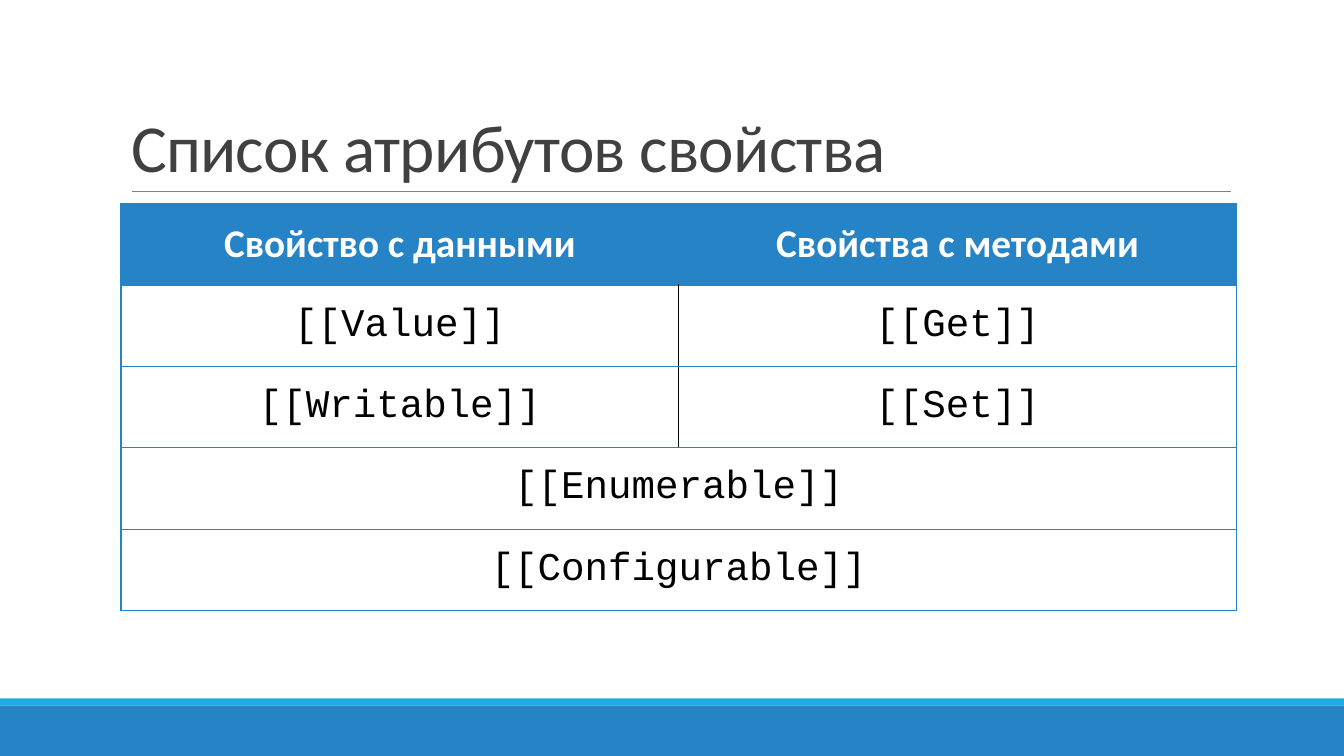
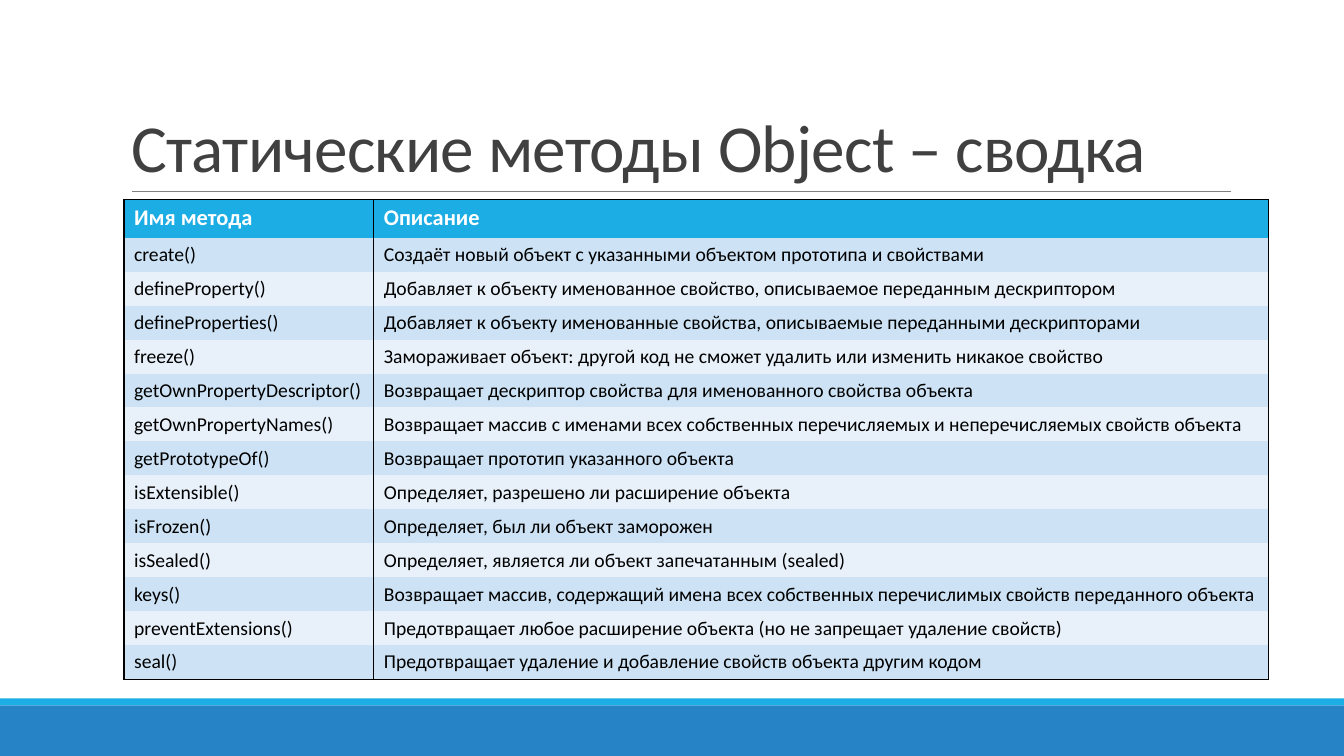
from dataclasses import dataclass

from lxml.etree import SubElement
from pptx import Presentation
from pptx.dml.color import RGBColor
from pptx.enum.shapes import MSO_CONNECTOR, MSO_SHAPE
from pptx.enum.text import MSO_ANCHOR, MSO_AUTO_SIZE, PP_ALIGN
from pptx.oxml.ns import qn
from pptx.util import Inches, Pt

SLIDE_WIDTH = Inches(40) // 3
SLIDE_HEIGHT = Inches(7.5)
TITLE_ONLY = 5


@dataclass(frozen=True)
class Theme:
    body_font: str = "Calibri"
    code_font: str = "Courier New"
    blue: str = "2683C6"
    cyan: str = "1CADE4"
    rule: str = "808080"
    heading: str = "404040"
    black: str = "000000"
    white: str = "FFFFFF"
    band_dark: str = "CDE3F5"
    band_light: str = "E8F1FA"
    title_size: int = 48
    attribute_size: int = 28
    header_size: int = 16
    method_size: int = 14
    border_width: int = 1
    rule_width: float = 0.5


@dataclass(frozen=True)
class Area:
    left: float
    top: float
    width: float
    height: float

    def emu(self):
        return (
            int(SLIDE_WIDTH * self.left / 100),
            int(SLIDE_HEIGHT * self.top / 100),
            int(SLIDE_WIDTH * self.width / 100),
            int(SLIDE_HEIGHT * self.height / 100),
        )


THEME = Theme()
TITLE_AREA = Area(9, 4.13, 82.5, 21.2)
RULE_AREA = Area(9.83, 25.33, 81.75, 0)
FOOTER_AREA = Area(0, 92.4, 100, 7.6)
ATTRIBUTES_AREA = Area(9, 26.93, 83, 53.87)
METHODS_AREA = Area(9.23, 26.4, 85.15, 63.47)

ATTRIBUTES = [
    ("Свойство с данными", "Свойства с методами"),
    ("[[Value]]", "[[Get]]"),
    ("[[Writable]]", "[[Set]]"),
    ("[[Enumerable]]",),
    ("[[Configurable]]",),
]

METHODS = [
    ("Имя метода", "Описание"),
    ("create()", "Создаёт новый объект с указанными объектом прототипа и свойствами"),
    ("defineProperty()", "Добавляет к объекту именованное свойство, описываемое переданным дескриптором"),
    ("defineProperties()", "Добавляет к объекту именованные свойства, описываемые переданными дескрипторами"),
    ("freeze()", "Замораживает объект: другой код не сможет удалить или изменить никакое свойство"),
    ("getOwnPropertyDescriptor()", "Возвращает дескриптор свойства для именованного свойства объекта"),
    ("getOwnPropertyNames()", "Возвращает массив с именами всех собственных перечисляемых и неперечисляемых свойств объекта"),
    ("getPrototypeOf()", "Возвращает прототип указанного объекта"),
    ("isExtensible()", "Определяет, разрешено ли расширение объекта"),
    ("isFrozen()", "Определяет, был ли объект заморожен"),
    ("isSealed()", "Определяет, является ли объект запечатанным (sealed)"),
    ("keys()", "Возвращает массив, содержащий имена всех собственных перечислимых свойств переданного объекта"),
    ("preventExtensions()", "Предотвращает любое расширение объекта (но не запрещает удаление свойств)"),
    ("seal()", "Предотвращает удаление и добавление свойств объекта другим кодом"),
]


def apply_format(target, values):
    for name, value in values.items():
        setattr(target, name, value)


def paint(fill, color):
    fill.solid()
    fill.fore_color.rgb = RGBColor.from_string(color)


def write_text(paragraph, text, color, **font):
    run = paragraph.add_run()
    run.text = text
    apply_format(run.font, font)
    run.font.color.rgb = RGBColor.from_string(color)
    return run


def set_borders(cell, colors):
    properties = cell._tc.get_or_add_tcPr()
    for side in "LRTB":
        edge = SubElement(properties, qn(f"a:ln{side}"), w=str(Pt(THEME.border_width)))
        if colors.get(side):
            solid = SubElement(edge, qn("a:solidFill"))
            SubElement(solid, qn("a:srgbClr"), val=colors[side])
        else:
            SubElement(edge, qn("a:noFill"))


def add_frame(slide, layout):
    left, top, width, height = FOOTER_AREA.emu()
    stripe_height = int(height * 0.12)
    bands = [
        (top + stripe_height, height - stripe_height, THEME.blue),
        (top, stripe_height, THEME.cyan),
    ]
    parts = []
    for band_top, band_height, color in bands:
        band = slide.shapes.add_shape(MSO_SHAPE.RECTANGLE, left, band_top, width, band_height)
        band.shadow.inherit = False
        paint(band.fill, color)
        band.line.fill.background()
        parts.append(band)

    left, top, width, _ = RULE_AREA.emu()
    rule = slide.shapes.add_connector(MSO_CONNECTOR.STRAIGHT, left, top, left + width, top)
    rule.line.width = Pt(THEME.rule_width)
    rule.line.color.rgb = RGBColor.from_string(THEME.rule)
    SubElement(rule._element.spPr, qn("a:effectLst"))
    parts.append(rule)

    for part in parts:
        layout.shapes._spTree.append(part._element)


def add_title(slide, text):
    title = slide.shapes.title
    apply_format(title, dict(zip(("left", "top", "width", "height"), TITLE_AREA.emu())))
    frame = title.text_frame
    apply_format(frame, {
        "word_wrap": True,
        "auto_size": MSO_AUTO_SIZE.NONE,
        "vertical_anchor": MSO_ANCHOR.BOTTOM,
    })
    paragraph = frame.paragraphs[0]
    apply_format(paragraph, {"alignment": PP_ALIGN.LEFT, "line_spacing": 0.85})
    run = write_text(paragraph, text, THEME.heading,
                     name=THEME.body_font, size=Pt(THEME.title_size))
    run.font._element.set("spc", "-50")


def add_grid(slide, area, column_weights, row_weights):
    left, top, width, height = area.emu()
    grid = slide.shapes.add_table(
        len(row_weights), len(column_weights), left, top, width, height).table
    apply_format(grid, {"first_row": False, "horz_banding": False})
    for column, weight in zip(grid.columns, column_weights):
        column.width = int(width * weight / sum(column_weights))
    for row, weight in zip(grid.rows, row_weights):
        row.height = int(height * weight / sum(row_weights))
    return grid


def add_attributes(slide, area):
    grid = add_grid(slide, area, (1, 1), [1] * len(ATTRIBUTES))
    for row, labels in enumerate(ATTRIBUTES):
        header = row == 0
        paired = len(labels) == 2
        divider = THEME.black if paired and not header else THEME.blue
        for column in range(2):
            cell = grid.cell(row, column)
            inner = "R" if column == 0 else "L"
            set_borders(cell, dict.fromkeys("LRTB", THEME.blue) | {inner: divider})
            paint(cell.fill, THEME.blue if header else THEME.white)
        if not paired:
            grid.cell(row, 0).merge(grid.cell(row, 1))
        for column, label in enumerate(labels):
            cell = grid.cell(row, column)
            cell.vertical_anchor = MSO_ANCHOR.MIDDLE
            paragraph = cell.text_frame.paragraphs[0]
            paragraph.alignment = PP_ALIGN.CENTER
            write_text(paragraph, label, THEME.white if header else THEME.black,
                       name=THEME.body_font if header else THEME.code_font,
                       size=Pt(THEME.attribute_size), bold=header)


def add_methods(slide, area):
    last = len(METHODS) - 1
    grid = add_grid(slide, area, (21.83, 78.17), [1.12] + [1] * last)
    for row, labels in enumerate(METHODS):
        header = row == 0
        band = THEME.band_dark if row % 2 else THEME.band_light
        borders = dict.fromkeys("LR", THEME.black)
        if header:
            borders["T"] = THEME.black
        if row == last:
            borders["B"] = THEME.black
        for column, label in enumerate(labels):
            cell = grid.cell(row, column)
            set_borders(cell, borders)
            paint(cell.fill, THEME.cyan if header else band)
            write_text(cell.text_frame.paragraphs[0], label,
                       THEME.white if header else THEME.black,
                       name=THEME.body_font, bold=header,
                       size=Pt(THEME.header_size if header else THEME.method_size))


def main():
    deck = Presentation()
    apply_format(deck, {"slide_width": SLIDE_WIDTH, "slide_height": SLIDE_HEIGHT})
    layout = deck.slide_layouts[TITLE_ONLY]
    pages = [
        ("Список атрибутов свойства", add_attributes, ATTRIBUTES_AREA),
        ("Статические методы Object – сводка", add_methods, METHODS_AREA),
    ]
    for number, (title, add_content, area) in enumerate(pages):
        slide = deck.slides.add_slide(layout)
        if number == 0:
            add_frame(slide, layout)
        add_title(slide, title)
        add_content(slide, area)
    deck.save("out.pptx")


if __name__ == "__main__":
    main()
